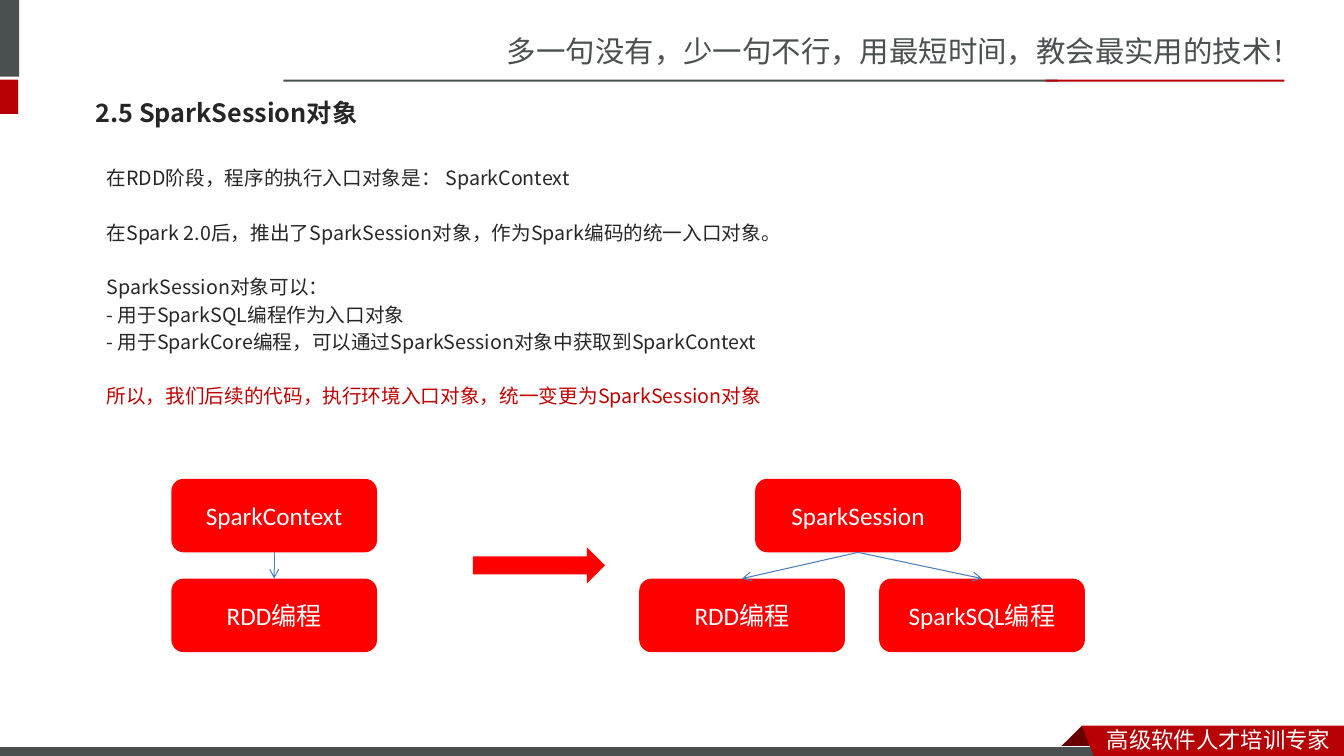
"""Build the slide that introduces the SparkSession object."""
from dataclasses import dataclass

from lxml.etree import SubElement
from pptx import Presentation
from pptx.dml.color import RGBColor
from pptx.enum.shapes import MSO_CONNECTOR as Connector, MSO_SHAPE as Preset
from pptx.enum.text import MSO_ANCHOR as Anchor, PP_ALIGN as Align
from pptx.oxml.ns import qn
from pptx.util import Inches, Pt

GREY, CRIMSON, MAROON = "49504F", "B60004", "680000"
RED, BLUE, WHITE = "FF0000", "4B7EBC", "FFFFFF"
INK, EMPHASIS = "262626", "C00000"
SANS_SC, SANS_JP, CALIBRI = "Noto Sans CJK SC", "Noto Sans CJK JP", "Calibri"
BOX_WIDTH, BOX_HEIGHT = 2.04, 0.73
UPPER_ROW, LOWER_ROW = 4.75, 5.74
LINE_PITCH = 19.5


@dataclass(frozen=True)
class Panel:
    left: float
    top: float
    width: float
    height: float
    fill: str
    preset: Preset = Preset.RECTANGLE


@dataclass(frozen=True)
class Node:
    left: float
    top: float
    label: str

    @property
    def center(self) -> float:
        return self.left + BOX_WIDTH / 2


@dataclass(frozen=True)
class Style:
    size: float
    font: str
    color: str
    bold: bool = False
    asian_font: str = ""


@dataclass(frozen=True)
class Label:
    left: float
    top: float
    width: float
    height: float
    text: str
    style: Style
    anchor: Anchor = Anchor.TOP


@dataclass(frozen=True)
class Line:
    text: str
    starts_block: bool = False
    color: str = INK


PANELS = [
    Panel(-0.06, 0, 0.25, 0.76, GREY),
    Panel(-0.06, 0.79, 0.24, 0.34, CRIMSON),
    Panel(2.81, 0.79, 7.68, 0.02, GREY),
    Panel(10.37, 0.79, 2.37, 0.02, CRIMSON),
]
FOOTER_BAR = Panel(-0.01, 7.41, 11, 0.12, GREY)
RIBBON_FOLD = [(10.73, 7.2), (10.95, 7.42), (10.94, 7.43), (10.52, 7.43), (10.51, 7.42)]
RIBBON = [(10.73, 7.2), (13.33, 7.2), (13.33, 7.54), (10.86, 7.53)]
LABELS = [
    Label(4.93, 0.28, 8.41, 0.47, "多一句没有，少一句不行，用最短时间，教会最实用的技术！",
          Style(21, SANS_SC, GREY)),
    Label(10.88, 7.15, 2.45, 0.37, "高级软件人才培训专家", Style(16, SANS_SC, WHITE)),
    Label(0.85, 0.83, 11.76, 0.57, "2.5 SparkSession对象",
          Style(18, SANS_JP, INK, bold=True), Anchor.MIDDLE),
]
BODY = [
    Line("在RDD阶段，程序的执行入口对象是： SparkContext"),
    Line("在Spark 2.0后，推出了SparkSession对象，作为Spark编码的统一入口对象。", True),
    Line("SparkSession对象可以：", True),
    Line("- 用于SparkSQL编程作为入口对象"),
    Line("- 用于SparkCore编程，可以通过SparkSession对象中获取到SparkContext"),
    Line("所以，我们后续的代码，执行环境入口对象，统一变更为SparkSession对象", True, EMPHASIS),
]
NODE_STYLE = Style(18, CALIBRI, WHITE, asian_font=SANS_SC)
TREES = [
    (Node(1.7, UPPER_ROW, "SparkContext"), [Node(1.7, LOWER_ROW, "RDD编程")]),
    (Node(7.49, UPPER_ROW, "SparkSession"),
     [Node(6.34, LOWER_ROW, "RDD编程"), Node(8.72, LOWER_ROW, "SparkSQL编程")]),
]
TRANSITION = Panel(4.69, 5.43, 1.31, 0.36, RED, Preset.RIGHT_ARROW)


def rgb(value: str) -> RGBColor:
    return RGBColor.from_string(value)


def paint(shape, fill: str) -> None:
    shape.shadow.inherit = False
    shape.fill.solid()
    shape.fill.fore_color.rgb = rgb(fill)
    shape.line.fill.background()


def style_paragraph(paragraph, style: Style) -> None:
    font = paragraph.font
    font.size, font.bold, font.name = Pt(style.size), style.bold, style.font
    font.color.rgb = rgb(style.color)
    properties = paragraph._p.pPr.find(qn("a:defRPr"))
    SubElement(properties, qn("a:ea")).set("typeface", style.asian_font or style.font)


def add_panel(slide, panel: Panel):
    shape = slide.shapes.add_shape(panel.preset, Inches(panel.left), Inches(panel.top),
                                   Inches(panel.width), Inches(panel.height))
    paint(shape, panel.fill)
    return shape


def add_outline(slide, points: list[tuple[float, float]], fill: str) -> None:
    corners = [(Inches(x), Inches(y)) for x, y in points]
    builder = slide.shapes.build_freeform(*corners[0])
    builder.add_line_segments(corners[1:], close=True)
    paint(builder.convert_to_shape(), fill)


def add_text_frame(slide, left: float, top: float, width: float, height: float):
    box = slide.shapes.add_textbox(Inches(left), Inches(top), Inches(width), Inches(height))
    box.text_frame.word_wrap = True
    return box.text_frame


def add_label(slide, label: Label) -> None:
    frame = add_text_frame(slide, label.left, label.top, label.width, label.height)
    frame.vertical_anchor = label.anchor
    paragraph = frame.paragraphs[0]
    paragraph.text = label.text
    style_paragraph(paragraph, label.style)


def add_body(slide) -> None:
    frame = add_text_frame(slide, 0.96, 1.56, 9.15, 2.6)
    for index, line in enumerate(BODY):
        paragraph = frame.add_paragraph() if index else frame.paragraphs[0]
        paragraph.text = line.text
        paragraph.line_spacing = Pt(LINE_PITCH)
        paragraph.space_before = Pt(LINE_PITCH if line.starts_block else 0)
        style_paragraph(paragraph, Style(14, SANS_JP, line.color))


def add_node(slide, node: Node) -> None:
    shape = add_panel(slide, Panel(node.left, node.top, BOX_WIDTH, BOX_HEIGHT, RED,
                                   Preset.ROUNDED_RECTANGLE))
    shape.text_frame.vertical_anchor = Anchor.MIDDLE
    paragraph = shape.text_frame.paragraphs[0]
    paragraph.text = node.label
    paragraph.alignment = Align.CENTER
    style_paragraph(paragraph, NODE_STYLE)


def add_arrow(slide, parent: Node, child: Node) -> None:
    connector = slide.shapes.add_connector(
        Connector.STRAIGHT, Inches(parent.center), Inches(parent.top + BOX_HEIGHT),
        Inches(child.center), Inches(child.top))
    connector.line.color.rgb = rgb(BLUE)
    connector.line.width = Pt(0.75)
    SubElement(connector.line._get_or_add_ln(), qn("a:tailEnd")).set("type", "arrow")
    SubElement(connector._element.spPr, qn("a:effectLst"))


def main() -> None:
    presentation = Presentation()
    presentation.slide_width, presentation.slide_height = Inches(13.33), Inches(7.5)
    slide = presentation.slides.add_slide(presentation.slide_layouts[6])
    for panel in PANELS:
        add_panel(slide, panel)
    add_outline(slide, RIBBON_FOLD, MAROON)
    footer = add_panel(slide, FOOTER_BAR)
    footer.line.color.rgb = rgb(WHITE)
    footer.line.width = Pt(0.75)
    add_outline(slide, RIBBON, CRIMSON)
    for label in LABELS:
        add_label(slide, label)
    add_body(slide)
    for parent, children in TREES:
        for node in (parent, *children):
            add_node(slide, node)
        for child in children:
            add_arrow(slide, parent, child)
    add_panel(slide, TRANSITION)
    presentation.save("out.pptx")


if __name__ == "__main__":
    main()
